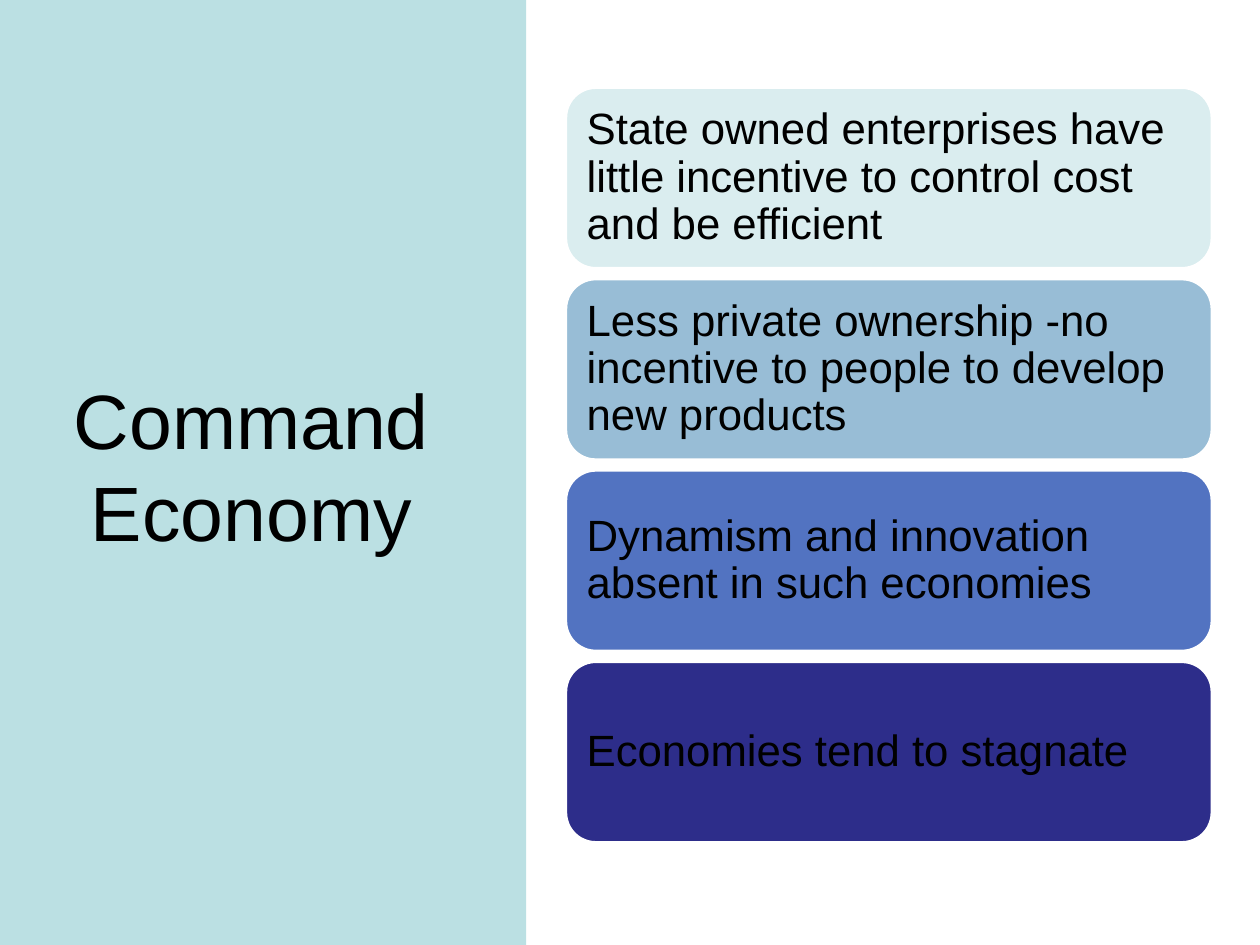
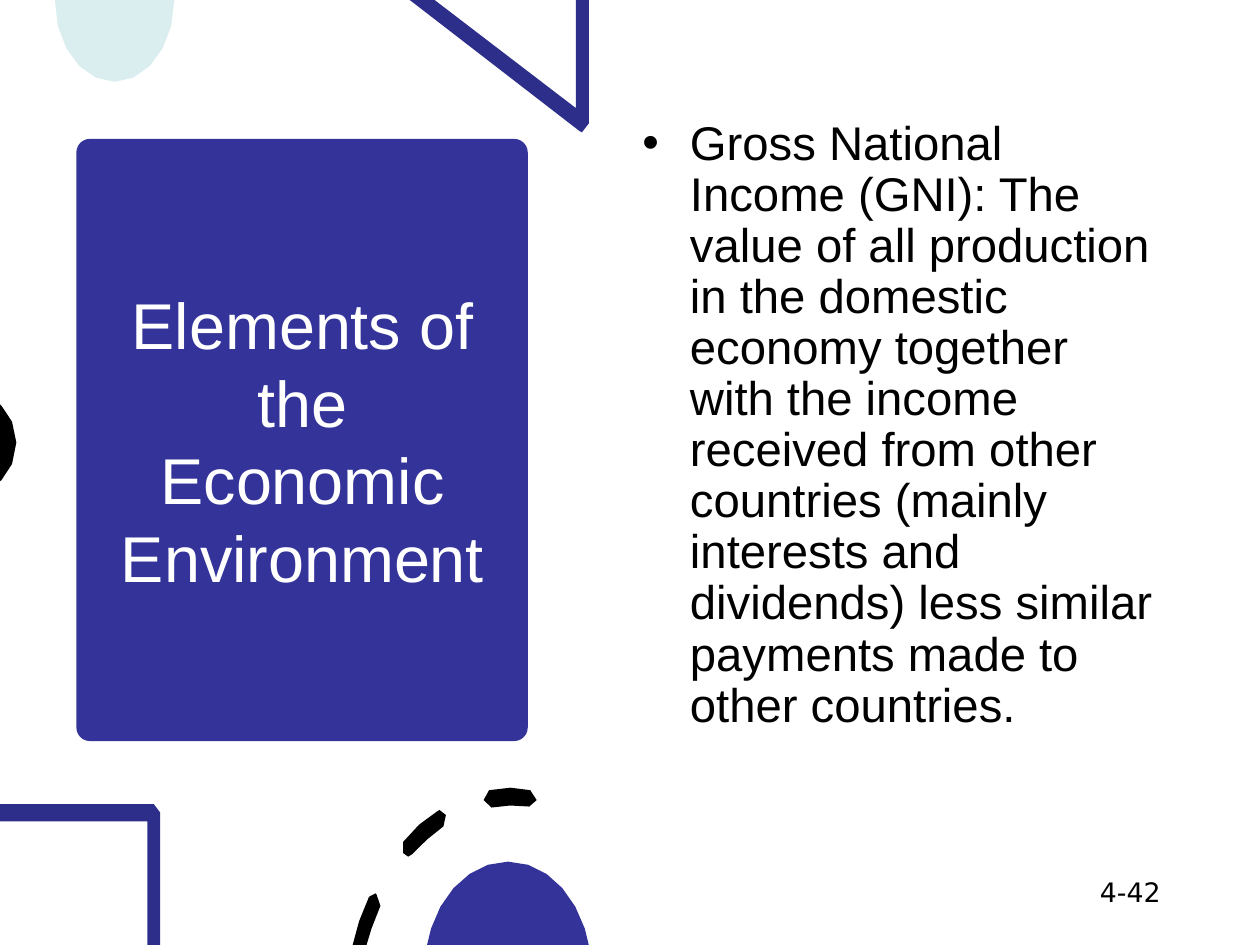
import collections
import math
import lxml.etree
import pptx
import pptx.dml.color
import pptx.enum.shapes
import pptx.enum.text
import pptx.oxml.ns
import pptx.util

Cm = pptx.util.Cm
Pt = pptx.util.Pt
Align = pptx.enum.text.PP_ALIGN
Anchor = pptx.enum.text.MSO_ANCHOR
Kind = pptx.enum.shapes.MSO_SHAPE
Box = collections.namedtuple("Box", "x y w h")


class Theme:
    font = "Arial"
    digits = "DejaVu Sans"
    black = "000000"
    white = "FFFFFF"
    aqua = "BBE0E3"
    pale = "DAEDEF"
    navy = "2D2D8A"
    indigo = "333399"
    steps = (pale, "98BDD6", "5273C1", navy)
    title = 44
    small = 37
    card = 25
    body = 27
    page = 15.3


PAGE = Box(0, 0, 25.4, 19.05)

POINTS = (
    "State owned enterprises have little incentive to control cost and be efficient",
    "Less private ownership -no incentive to people to develop new products",
    "Dynamism and innovation absent in such economies",
    "Economies tend to stagnate",
)

GNI = (
    "Gross National Income (GNI): The value of all production in the domestic "
    "economy together with the income received from other countries (mainly "
    "interests and dividends) less similar payments made to other countries."
)

DISC = [(3.51, 0), (1.11, 0), (1.11, .03), (1.11, .91, 1.65, 1.65, 2.31, 1.65),
        (2.97, 1.65, 3.51, .91, 3.51, .03)]
WEDGE = [(11.87, 0), (11.61, 0), (11.61, 2.18), (8.76, 0), (8.26, 0), (11.68, 2.64),
         (11.73, 2.67), (11.81, 2.67, 11.87, 2.59, 11.87, 2.49)]
DOT = [(0, 8.15), (0, 9.7), (.03, 9.68), (.2, 9.5, .33, 9.25, .33, 8.92),
       (.33, 8.61, .2, 8.36, .03, 8.18)]
FRAME = [(3.1, 16.21), (0, 16.21), (0, 16.56), (2.97, 16.56), (2.97, 19.05),
         (3.23, 19.05), (3.23, 16.38), (3.23, 16.28, 3.18, 16.21, 3.1, 16.21)]
HILL = [(10.24, 17.37), (9.55, 17.37, 8.94, 17.93, 8.69, 18.72), (8.61, 19.05),
        (11.87, 19.05), (11.79, 18.72), (11.53, 17.93, 10.95, 17.37, 10.24, 17.37)]
LOW = [(7.57, 18.01), (7.52, 17.98, 7.47, 18.03, 7.44, 18.08), (7.24, 18.57),
       (7.11, 19.05), (7.39, 19.05), (7.49, 18.72), (7.67, 18.26),
       (7.7, 18.19, 7.67, 18.06, 7.59, 18.03)]
MID = [(8.86, 16.33), (8.81, 16.36), (8.56, 16.51, 8.33, 16.71, 8.13, 16.97),
       (8.08, 17.02, 8.08, 17.15, 8.13, 17.2), (8.23, 17.27), (8.31, 17.22),
       (8.51, 17.02, 8.71, 16.81, 8.94, 16.66),
       (8.99, 16.61, 9.02, 16.51, 8.99, 16.43), (8.97, 16.36, 8.92, 16.33, 8.86, 16.33)]
TOP = [(10.29, 15.88), (9.86, 15.93), (9.8, 15.93, 9.75, 16.03, 9.75, 16.13),
       (9.75, 16.21, 9.8, 16.28, 9.91, 16.28), (10.16, 16.23, 10.41, 16.23, 10.67, 16.26),
       (10.74, 16.28, 10.8, 16.21, 10.82, 16.13),
       (10.82, 16.03, 10.77, 15.93, 10.69, 15.93)]

DECOR = (
    (Theme.pale, [DISC]),
    (Theme.navy, [WEDGE]),
    (Theme.black, [DOT]),
    (Theme.navy, [FRAME]),
    (Theme.black, [LOW, MID, TOP]),
    (Theme.indigo, [HILL]),
)


def shade(name):
    return pptx.dml.color.RGBColor.from_string(name)


def place(box):
    return [Cm(side) for side in box]


def within(box, x, y, w, h):
    return Box(box.x + x, box.y + y, w, h)


def paint(shape, fill, line=None):
    shape.shadow.inherit = False
    shape.fill.solid()
    shape.fill.fore_color.rgb = shade(fill)
    if line:
        shape.line.color.rgb = shade(line)
        shape.line.width = Pt(2)
    else:
        shape.line.fill.background()


def block(slide, kind, box, fill, line=None):
    shape = slide.shapes.add_shape(kind, *place(box))
    paint(shape, fill, line)
    return shape


def dot(para):
    props = para._p.get_or_add_pPr()
    props.set("marL", str(Cm(.96)))
    props.set("indent", str(-Cm(.96)))
    for tag, key, value in (("a:buFont", "typeface", Theme.font),
                            ("a:buChar", "char", "•")):
        lxml.etree.SubElement(props, pptx.oxml.ns.qn(tag)).set(key, value)


def write(shape, text, size, color=Theme.black, font=Theme.font,
          align=Align.LEFT, anchor=Anchor.MIDDLE, lead=None, bullet=False):
    frame = shape.text_frame
    frame.word_wrap = True
    frame.vertical_anchor = anchor
    frame.text = text
    para = frame.paragraphs[0]
    para.alignment = align
    para.line_spacing = lead
    if bullet:
        dot(para)
    for part in (para, *para.runs):
        part.font.size = Pt(size)
        part.font.name = font
        part.font.color.rgb = shade(color)


def label(slide, box, text, size, **style):
    write(slide.shapes.add_textbox(*place(box)), text, size, **style)


def head(slide, box, text, size, color):
    label(slide, box, text, size, color=color, align=Align.CENTER)


def trace(moves, box):
    dots = [moves[0]]
    for move in moves[1:]:
        start, end = dots[-1], move[-2:]
        if len(move) == 2:
            dots.append(end)
            continue
        knots = (start, move[:2], move[2:4], end)
        count = max(1, round(math.dist(start, end) / .4))
        for step in range(1, count + 1):
            t = step / count
            parts = ((1 - t) ** 3, 3 * t * (1 - t) ** 2, 3 * t * t * (1 - t), t ** 3)
            dots.append(tuple(sum(part * knot[axis] for part, knot in zip(parts, knots))
                              for axis in (0, 1)))
    return [(Cm(box.x + x), Cm(box.y + y)) for x, y in dots]


def outline(slide, box, fill, loops):
    pen = None
    for loop in loops:
        dots = trace(loop, box)
        if pen is None:
            pen = slide.shapes.build_freeform(*dots[0])
        else:
            pen.move_to(*dots[0])
        pen.add_line_segments(dots[1:], close=True)
    paint(pen.convert_to_shape(), fill)


def cards(slide, box, texts, gap=.2):
    tall = (box.h - gap * (len(texts) - 1)) / len(texts)
    for row, (text, fill) in enumerate(zip(texts, Theme.steps)):
        spot = within(box, 0, row * (tall + gap), box.w, tall)
        card = block(slide, Kind.ROUNDED_RECTANGLE, spot, fill, Theme.white)
        frame = card.text_frame
        frame.margin_left = frame.margin_right = Cm(.25)
        frame.margin_top = frame.margin_bottom = Cm(.25)
        write(card, text, Theme.card, lead=.9)


def command(slide, box):
    block(slide, Kind.RECTANGLE, within(box, 0, 0, 10.61, box.h), Theme.aqua)
    head(slide, within(box, 1.11, 1.73, 7.92, 15.29), "Command Economy",
         Theme.title, Theme.black)
    cards(slide, within(box, 11.4, 1.76, 13.04, 15.23), POINTS)


def income(slide, box):
    panel = within(box, 1.54, 2.8, 9.1, 12.14)
    tile = block(slide, Kind.ROUNDED_RECTANGLE, panel, Theme.indigo)
    tile.adjustments[0] = .03
    head(slide, within(panel, .46, .28, 8.2, 11.58),
         "Elements of the Economic Environment", Theme.small, Theme.white)
    for fill, loops in DECOR:
        outline(slide, box, fill, loops)
    label(slide, within(box, 12.7, 2.28, 10.95, 13.59), GNI, Theme.body,
          anchor=Anchor.TOP, lead=.9, bullet=True)
    label(slide, within(box, 21.87, 17.65, 1.78, 1.02), "4-42", Theme.page,
          font=Theme.digits, align=Align.RIGHT, anchor=Anchor.TOP, lead=.8)


def main():
    deck = pptx.Presentation()
    deck.slide_width, deck.slide_height = Cm(PAGE.w), Cm(PAGE.h)
    for build in (command, income):
        build(deck.slides.add_slide(deck.slide_layouts[6]), PAGE)
    deck.save("out.pptx")


if __name__ == "__main__":
    main()
